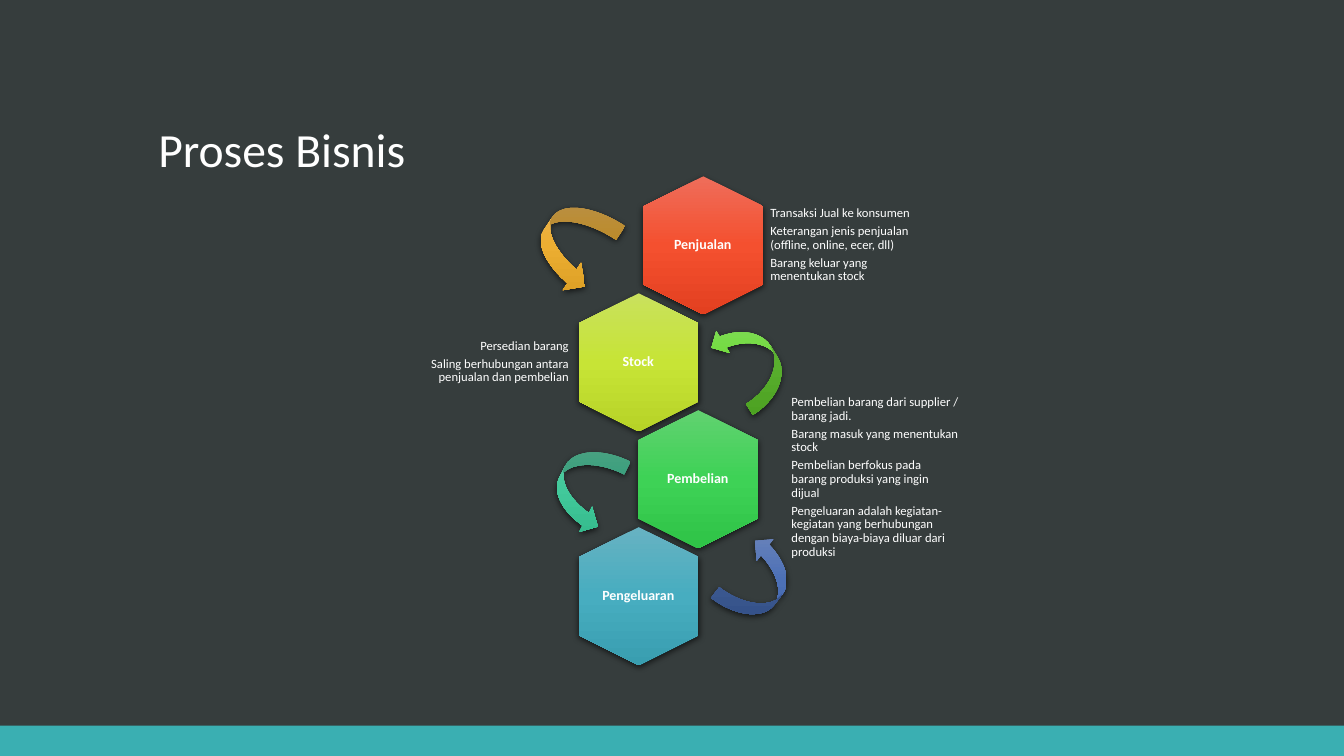
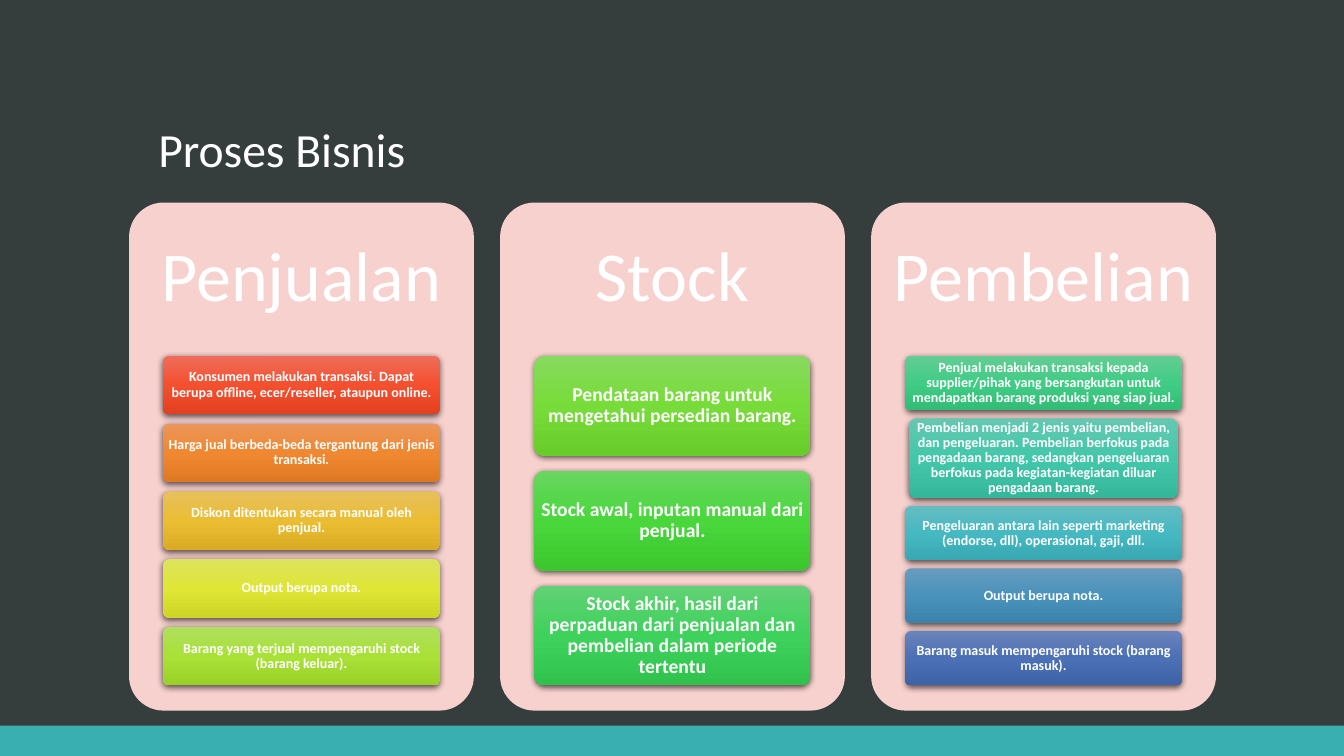
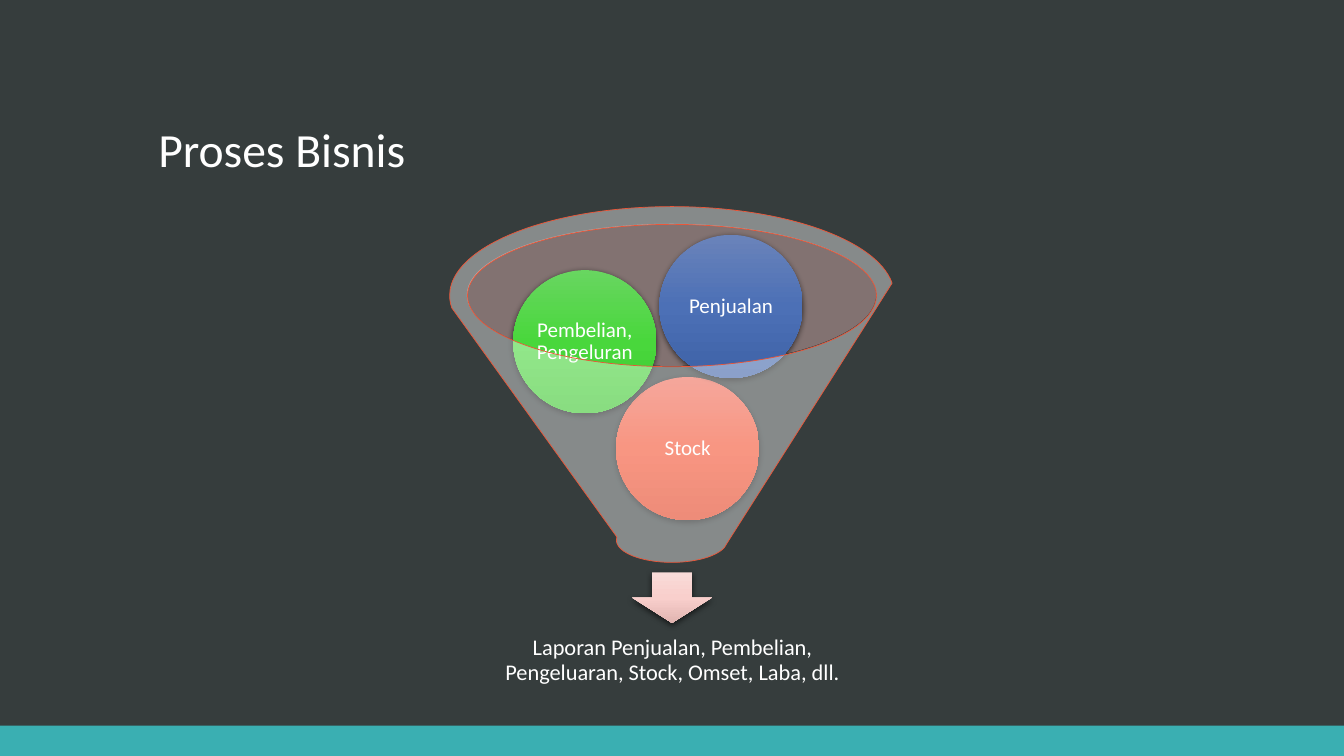
from dataclasses import dataclass, field
from pptx import Presentation
from pptx.dml.color import RGBColor
from pptx.enum.shapes import MSO_SHAPE
from pptx.enum.text import MSO_ANCHOR, PP_ALIGN
from pptx.oxml import parse_xml
from pptx.oxml.ns import nsdecls
from pptx.util import Inches, Pt


@dataclass
class Theme:
    font: str = "Calibri"
    text: str = "FFFFFF"
    background: str = "363D3D"
    band: str = "3AAFB2"
    panel: str = "F7D1CE"
    mouth: str = "F5C3BF"
    outline: str = "EB5638"
    title: int = 34
    heading: int = 50
    report: int = 16
    ball: int = 15
    large_card: int = 14
    label: int = 10
    note: int = 9
    tones: dict = field(default_factory=lambda: {
        "red": ("EF6D5A", "F4502F", "E34020"),
        "orange": ("EB965B", "EF8831", "DF7822"),
        "amber": ("E8B45C", "ECAE32", "DB9E23"),
        "gold": ("E7C05C", "EBBD33", "DAAC24"),
        "yellow": ("DDE35D", "DFE635", "CED526"),
        "lime": ("C9E15D", "C7E436", "B7D327"),
        "pear": ("B0DF5E", "A9E137", "99D128"),
        "grass": ("88DA5F", "77DC39", "68CC2B"),
        "leaf": ("83DA5F", "70DB3A", "61CB2B"),
        "green": ("68D660", "49D73C", "3BC72D"),
        "emerald": ("61D270", "3ED256", "2FC347"),
        "clover": ("62D175", "3ED25C", "30C24D"),
        "jade": ("63CD93", "41CC86", "32BD77"),
        "mint": ("64CAA4", "42C99B", "34BA8C"),
        "teal": ("64C8B1", "43C7AA", "35B79B"),
        "cyan": ("66BCC3", "46B8C1", "38A9B2"),
        "lagoon": ("67B2C2", "47ADC0", "399EB0"),
        "sky": ("689CBF", "4992BC", "3B83AC"),
        "blue": ("6A83BA", "4C70B6", "3E62A7"),
        "blush": ("F9DBD8", "F9CFCC", "E1B5B1"),
    })


theme = Theme()


def draw(slide, kind, box, paint, rotation=0, opacity=100, adjust=None):
    shape = slide.shapes.add_shape(kind, *map(Inches, box))
    shape.rotation = rotation
    if adjust is not None:
        shape.adjustments[0] = adjust
    if paint in theme.tones:
        stops = "".join(
            f'<a:gs pos="{50000 * step}"><a:srgbClr val="{colour}"/></a:gs>'
            for step, colour in enumerate(theme.tones[paint]))
        fill = (f'<a:gradFill {nsdecls("a")} rotWithShape="0"><a:gsLst>{stops}</a:gsLst>'
                '<a:lin ang="5400000" scaled="0"/></a:gradFill>')
    else:
        fill = (f'<a:solidFill {nsdecls("a")}><a:srgbClr val="{paint}">'
                f'<a:alpha val="{opacity * 1000}"/></a:srgbClr></a:solidFill>')
    properties = shape.element.spPr
    properties.insert(2, parse_xml(fill))
    shape.line.fill.background()
    shape.shadow.inherit = False
    if paint in theme.tones:
        properties[-1].append(parse_xml(
            f'<a:outerShdw {nsdecls("a")} blurRad="57150" dist="19050" dir="5400000" '
            'algn="ctr" rotWithShape="0"><a:srgbClr val="000000"><a:alpha val="63000"/>'
            '</a:srgbClr></a:outerShdw>'))
    return shape


def write(shape, lines, size, inset=0.04, align=PP_ALIGN.CENTER, bold=False,
          anchor=MSO_ANCHOR.MIDDLE):
    frame = shape.text_frame
    frame.text = "\n".join(lines)
    margins = {f"margin_{side}": Inches(inset) for side in ("left", "top", "right", "bottom")}
    for name, value in {"word_wrap": True, "vertical_anchor": anchor, **margins}.items():
        setattr(frame, name, value)
    for para in frame.paragraphs:
        spacing = {"alignment": align, "line_spacing": 0.9, "space_before": Pt(0),
                   "space_after": Pt(0.35 * size if anchor == MSO_ANCHOR.MIDDLE else 0)}
        for name, value in spacing.items():
            setattr(para, name, value)
        for span in para.runs:
            for name, value in {"name": theme.font, "size": Pt(size), "bold": bold}.items():
                setattr(span.font, name, value)
            span.font.color.rgb = RGBColor.from_string(theme.text)


deck = Presentation()
deck.slide_width, deck.slide_height = Inches(13.33), Inches(7.5)
backdrop = deck.slide_master.background.fill
backdrop.solid()
backdrop.fore_color.rgb = RGBColor.from_string(theme.background)

layout = deck.slide_layouts[5]
title_box = dict(zip(("left", "top", "width", "height"), map(Inches, (1.47, 0.51, 10.4, 1.35))))
for name, value in title_box.items():
    setattr(layout.placeholders[0], name, value)

slides = [deck.slides.add_slide(layout) for number in range(3)]
for slide in slides:
    write(slide.shapes.title, ["Proses Bisnis"], theme.title, 0.1, PP_ALIGN.LEFT,
          anchor=MSO_ANCHOR.BOTTOM)
chain, board, funnel = slides

band = draw(chain, MSO_SHAPE.RECTANGLE, (0, 7.2, 13.33, 0.3), theme.band)
band.element.nvSpPr.cNvPr.set("id", "20")
deck.slide_master.element.cSld.spTree.insert(2, band.element)

stages = [("Penjualan", 6.29, "red"), ("Stock", 5.65, "lime"),
          ("Pembelian", 6.24, "emerald"), ("Pengeluaran", 5.65, "lagoon")]
for row, (label, left, tone) in enumerate(stages):
    top = 1.84 + 1.16 * row
    draw(chain, MSO_SHAPE.HEXAGON, (left, top, 1.37, 1.19), tone, 90, adjust=0.25)
    caption = chain.shapes.add_textbox(*map(Inches, (left + 0.27, top + 0.12, 0.82, 0.94)))
    write(caption, [label], theme.label, bold=True)

turns = [(MSO_SHAPE.CURVED_RIGHT_ARROW, (5.36, 1.99, 0.65, 0.88), "amber", 33.6),
         (MSO_SHAPE.CURVED_UP_ARROW, (6.99, 3.34, 0.91, 0.51), "leaf", 238.4),
         (MSO_SHAPE.CURVED_RIGHT_ARROW, (5.53, 4.41, 0.56, 0.86), "mint", 26.7),
         (MSO_SHAPE.CURVED_UP_ARROW, (7.1, 5.49, 0.85, 0.54), "blue", 307.6)]
for turn in turns:
    draw(chain, *turn)

notes = [
    ((7.6, 2.02, 1.52, 0.82), PP_ALIGN.LEFT,
     ["Transaksi Jual ke konsumen",
      "Keterangan jenis penjualan (offline, online, ecer, dll)",
      "Barang keluar yang menentukan stock"]),
    ((4.21, 3.18, 1.47, 0.82), PP_ALIGN.RIGHT,
     ["Persedian barang", "Saling berhubungan antara penjualan dan pembelian"]),
    ((7.81, 4.18, 1.74, 1.11), PP_ALIGN.LEFT,
     ["Pembelian barang dari supplier / barang jadi.",
      "Barang masuk yang menentukan stock",
      "Pembelian berfokus pada barang produksi yang ingin dijual",
      "Pengeluaran adalah kegiatan-kegiatan yang berhubungan dengan biaya-biaya diluar "
      "dari produksi"]),
]
for box, align, lines in notes:
    write(chain.shapes.add_textbox(*map(Inches, box)), lines, theme.note, align=align)

columns = [
    ("Penjualan", theme.label, 0.03, [
        ("red", 2.74, 0.58, "Konsumen melakukan transaksi. Dapat berupa offline, "
         "ecer/reseller, ataupun online."),
        ("orange", 2.74, 0.58, "Harga jual berbeda-beda tergantung dari jenis transaksi."),
        ("gold", 2.74, 0.58, "Diskon ditentukan secara manual oleh penjual."),
        ("yellow", 2.74, 0.58, "Output berupa nota."),
        ("pear", 2.74, 0.58, "Barang yang terjual mempengaruhi stock (barang keluar).")]),
    ("Stock", theme.large_card, 0.04, [
        ("grass", 2.74, 0.99, "Pendataan barang untuk mengetahui persedian barang."),
        ("green", 2.74, 0.99, "Stock awal, inputan manual dari penjual."),
        ("clover", 2.74, 0.99, "Stock akhir, hasil dari perpaduan dari penjualan dan "
         "pembelian dalam periode tertentu")]),
    ("Pembelian", theme.label, 0.03, [
        ("jade", 2.74, 0.54, "Penjual melakukan transaksi kepada supplier/pihak yang "
         "bersangkutan untuk mendapatkan barang produksi yang siap jual."),
        ("teal", 2.67, 0.79, "Pembelian menjadi 2 jenis yaitu pembelian, dan pengeluaran. "
         "Pembelian berfokus pada pengadaan barang, sedangkan pengeluaran berfokus pada "
         "kegiatan-kegiatan diluar pengadaan barang."),
        ("cyan", 2.74, 0.54, "Pengeluaran antara lain seperti marketing (endorse, dll), "
         "operasional, gaji, dll."),
        ("sky", 2.74, 0.54, "Output berupa nota."),
        ("blue", 2.74, 0.54, "Barang masuk mempengaruhi stock (barang masuk).")]),
]
panel_width, panel_top, stack_top, stack_height = 3.42, 2.01, 3.53, 3.27
for column, (heading, size, inset, cards) in enumerate(columns):
    left = 1.28 + 3.68 * column
    draw(board, MSO_SHAPE.ROUNDED_RECTANGLE, (left, panel_top, panel_width, 5.04),
         theme.panel, adjust=0.1)
    header = board.shapes.add_textbox(*map(Inches, (left, panel_top, panel_width, 1.51)))
    write(header, [heading], theme.heading, 0.21)
    gap = (stack_height - sum(card[2] for card in cards)) / (len(cards) - 1)
    top = stack_top
    for tone, width, height, words in cards:
        box = (left + (panel_width - width) / 2, top, width, height)
        card = draw(board, MSO_SHAPE.ROUNDED_RECTANGLE, box, tone, adjust=0.1)
        write(card, [words], size, inset, bold=True)
        top += height + gap

draw(funnel, MSO_SHAPE.OVAL, (4.63, 2.22, 4.06, 1.41), theme.mouth, opacity=40)
draw(funnel, MSO_SHAPE.DOWN_ARROW, (6.27, 5.68, 0.79, 0.5), "blush")
report = funnel.shapes.add_textbox(*map(Inches, (4.78, 6.08, 3.78, 0.95)))
write(report, ["Laporan Penjualan, Pembelian, Pengeluaran, Stock, Omset, Laba, dll."],
      theme.report, 0.12)
balls = [("Stock", 6.11, 3.74, "red"), ("Pembelian, Pengeluran", 5.09, 2.68, "green"),
         ("Penjualan", 6.54, 2.33, "blue")]
for label, left, top, tone in balls:
    ball = draw(funnel, MSO_SHAPE.OVAL, (left, top, 1.42, 1.42), tone)
    write(ball, [label], theme.ball, 0.02)
cone = draw(funnel, MSO_SHAPE.FUNNEL, (4.46, 2.05, 4.41, 3.53), theme.text, opacity=40)
cone.line.color.rgb = RGBColor.from_string(theme.outline)
cone.line.width = Pt(0.5)

deck.save("out.pptx")
